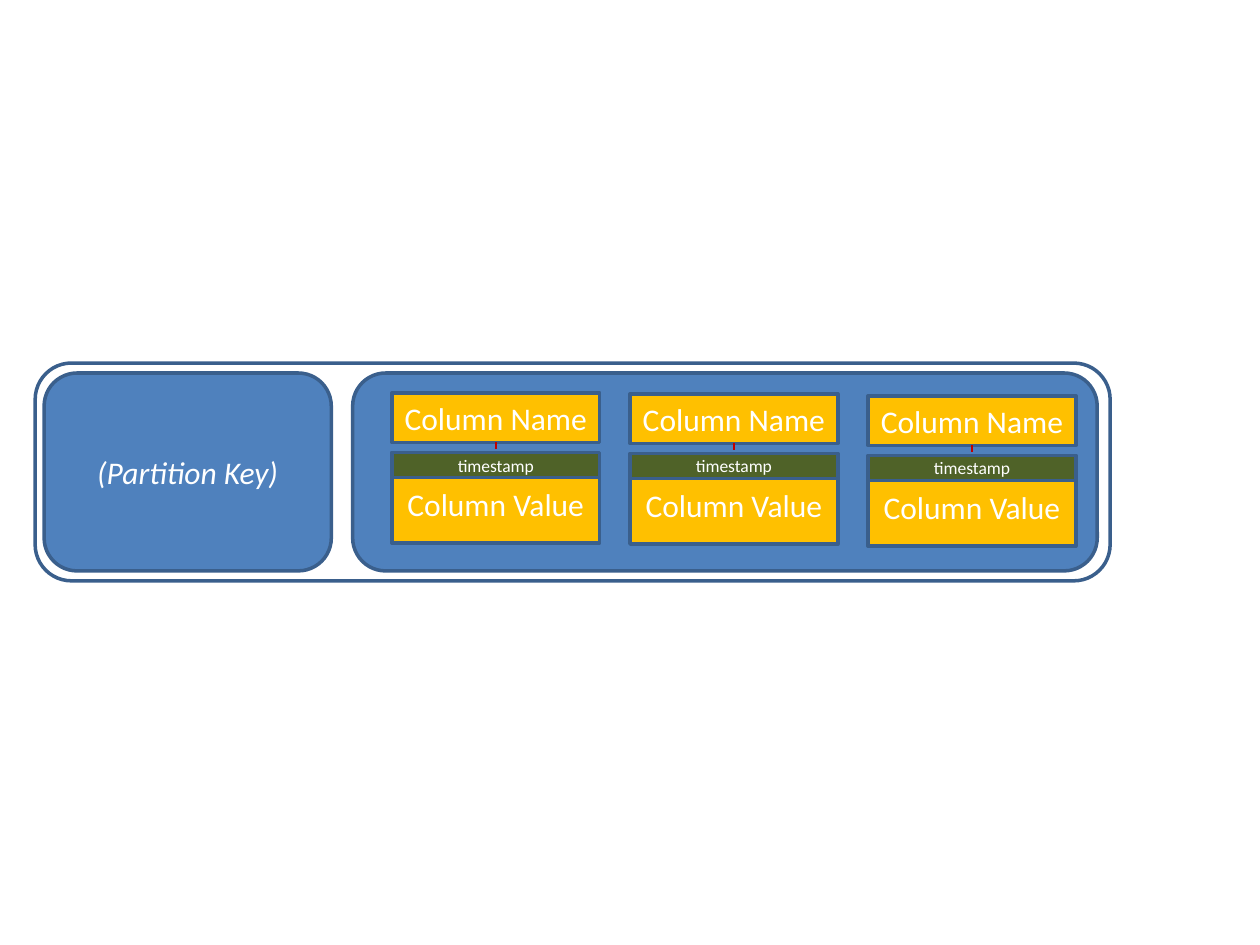
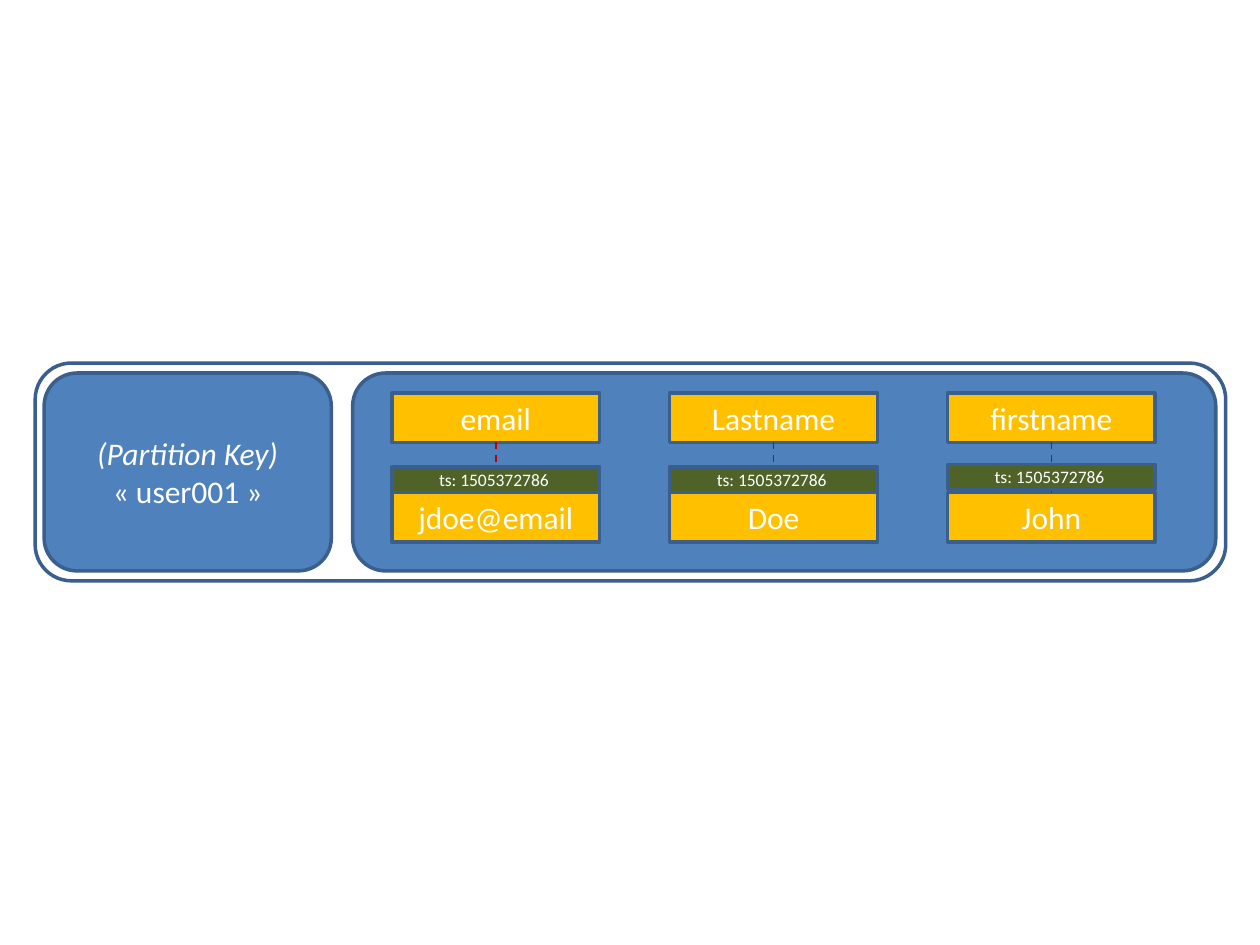
from pptx import Presentation
from pptx.dml.color import RGBColor
from pptx.enum.dml import MSO_LINE
from pptx.enum.shapes import MSO_CONNECTOR, MSO_SHAPE
from pptx.enum.text import MSO_ANCHOR, PP_ALIGN
from pptx.oxml.ns import qn
from pptx.util import Cm, Pt

RECTANGLE = MSO_SHAPE.RECTANGLE
ROUNDED = MSO_SHAPE.ROUNDED_RECTANGLE
STRAIGHT = MSO_CONNECTOR.STRAIGHT
DASH = MSO_LINE.DASH
CENTER = PP_ALIGN.CENTER
MIDDLE = MSO_ANCHOR.MIDDLE

BLANK_LAYOUT = 6
BOTTOM, TOP = 2, 0
FONT = "Calibri"
COLORS = {
    "panel": "4F81BD",
    "outline": "3A5F8C",
    "cell": "FFC000",
    "timestamp": "4F6228",
    "link": "C00000",
    "text": "FFFFFF",
}

# Lengths in centimetres
ROW_LEFT, ROW_TOP, ROW_HEIGHT = 0.71, 7.32, 4.39
PANEL_TOP, PANEL_HEIGHT = 7.52, 3.99
KEY_LEFT, KEY_WIDTH = 0.89, 5.79
COLUMNS_LEFT = 7.11
CELL_LEFT, CELL_WIDTH = 7.9, 4.19
NAME_TOP, NAME_HEIGHT = 7.92, 1.0
TIMESTAMP_HEIGHT = 0.51


def color(name):
    return RGBColor.from_string(COLORS[name])


def write(box, text, size=18, italic_first=False):
    """Fill the box with centred lines; the first one may be italic."""
    frame = box.text_frame
    frame.word_wrap = True
    frame.vertical_anchor = MIDDLE
    frame.margin_left = frame.margin_right = 0
    frame.margin_top = frame.margin_bottom = 0
    for index, line in enumerate(text.split("\n")):
        para = frame.add_paragraph() if index else frame.paragraphs[0]
        para.alignment = CENTER
        span = para.add_run()
        span.text = line
        span.font.name = FONT
        span.font.size = Pt(size)
        span.font.italic = italic_first and index == 0
        span.font.color.rgb = color("text")


class RowDiagram:
    """Draws a partition row, one on each page."""

    def __init__(self, deck):
        self.deck = deck
        self.page = None

    def new_page(self):
        self.page = self.deck.slides.add_slide(self.deck.slide_layouts[BLANK_LAYOUT])

    def box(self, left, top, width, height, fill=None, kind=RECTANGLE):
        box = self.page.shapes.add_shape(kind, Cm(left), Cm(top), Cm(width), Cm(height))
        box.shadow.inherit = False
        if fill:
            box.fill.solid()
            box.fill.fore_color.rgb = color(fill)
        else:
            box.fill.background()
        box.line.color.rgb = color("outline")
        box.line.width = Pt(2)
        return box

    def link(self, upper, lower):
        """Join two stacked boxes with a dashed line."""
        line = self.page.shapes.add_connector(STRAIGHT, 0, 0, 0, 0)
        line.begin_connect(upper, BOTTOM)
        line.end_connect(lower, TOP)
        line.line.color.rgb = color("link")
        line.line.width = Pt(1)
        line.line.dash_style = DASH
        properties = line._element.spPr
        properties.append(properties.makeelement(qn("a:effectLst"), {}))

    def frame(self, key, row_width, columns_width):
        self.box(ROW_LEFT, ROW_TOP, row_width, ROW_HEIGHT, kind=ROUNDED)
        self.box(COLUMNS_LEFT, PANEL_TOP, columns_width, PANEL_HEIGHT, "panel", ROUNDED)
        key_box = self.box(KEY_LEFT, PANEL_TOP, KEY_WIDTH, PANEL_HEIGHT, "panel", ROUNDED)
        write(key_box, key, italic_first=True)

    def column(self, left, texts, drop, value_top, value_height, timestamp_top):
        name, timestamp, value = texts
        name_box = self.box(left, NAME_TOP + drop, CELL_WIDTH, NAME_HEIGHT, "cell")
        write(name_box, name)
        value_box = self.box(left, value_top + drop, CELL_WIDTH, value_height, "cell")
        write(value_box, value)
        self.link(name_box, value_box)
        timestamp_box = self.box(
            left, timestamp_top, CELL_WIDTH, TIMESTAMP_HEIGHT, "timestamp")
        write(timestamp_box, timestamp, size=10)


def add_structure_page(diagram):
    diagram.new_page()
    diagram.frame("(Partition Key)", row_width=21.67, columns_width=15.01)
    texts = ("Column Name", "timestamp", "Column Value")
    for index, drop in enumerate((0, 0.02, 0.06)):
        diagram.column(CELL_LEFT + index * 4.8, texts, drop, value_top=9.37,
                       value_height=1.58, timestamp_top=9.12 + drop)


def add_example_page(diagram):
    diagram.new_page()
    diagram.frame("(Partition Key)\n« user001 »", row_width=24.0, columns_width=17.4)
    stamp = "ts: 1505372786 "
    columns = (
        ("email", "jdoe@email", 9.42),
        ("Lastname", "Doe", 9.42),
        ("firstname", "John", 9.36),
    )
    for index, (name, value, timestamp_top) in enumerate(columns):
        diagram.column(CELL_LEFT + index * 5.6, (name, stamp, value), 0, value_top=9.93,
                       value_height=NAME_HEIGHT, timestamp_top=timestamp_top)


def main():
    deck = Presentation()
    deck.slide_width, deck.slide_height = Cm(25.4), Cm(19.05)
    diagram = RowDiagram(deck)
    add_structure_page(diagram)
    add_example_page(diagram)
    deck.save("out.pptx")


if __name__ == "__main__":
    main()
